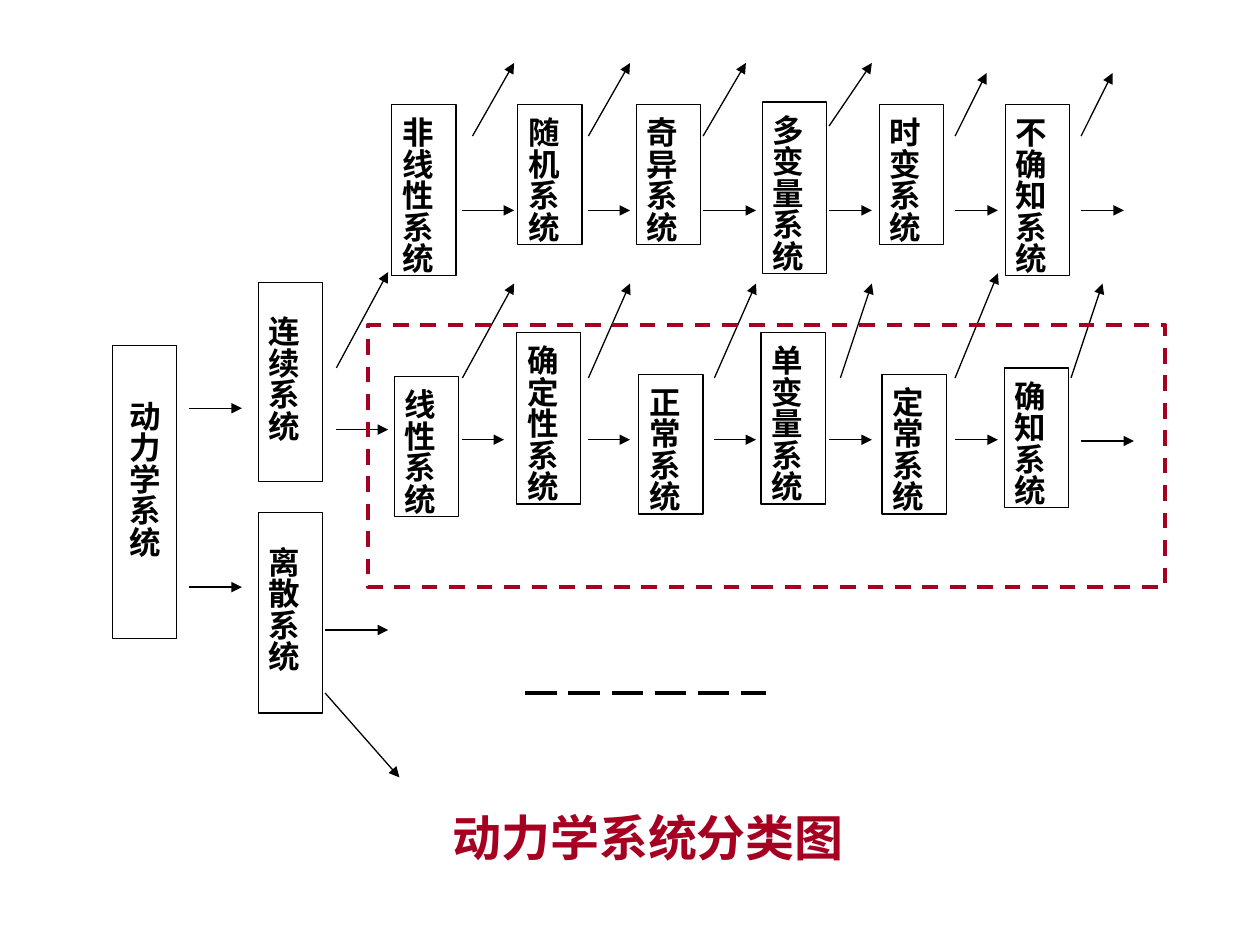
from dataclasses import dataclass

from lxml import etree
from pptx import Presentation
from pptx import util as u
from pptx.dml import color
from pptx.enum import dml, shapes, text
from pptx.oxml import ns


@dataclass(frozen=True)
class Theme:
    font: str = "Noto Sans CJK SC"
    ink: color.RGBColor = color.RGBColor(0, 0, 0)
    accent: color.RGBColor = color.RGBColor(0xA5, 0x00, 0x21)
    title_size: u.Pt = u.Pt(28)
    label_size: u.Pt = u.Pt(18)
    thin: u.Pt = u.Pt(0.75)
    thick: u.Pt = u.Pt(2.25)


@dataclass(frozen=True)
class SystemBox:
    label: str
    left: float
    top: float
    height: float
    indent: float = 0
    anchor: text.MSO_ANCHOR = text.MSO_ANCHOR.BOTTOM


@dataclass(frozen=True)
class Segment:
    start: tuple[float, float]
    end: tuple[float, float]


THEME = Theme()
BOX_WIDTH = 0.51
CHARACTER = 0.25
ROW_PADDING = 0.11


def row_box(label: str, left: float, top: float) -> SystemBox:
    return SystemBox(label, left, top, len(label) * CHARACTER + ROW_PADDING)


def level(y: float, *spans: tuple[float, float]) -> list[Segment]:
    return [Segment((start, y), (end, y)) for start, end in spans]


ROOT_BOXES = [
    SystemBox("动力学系统", 0.89, 2.74, 2.33, 0.34, text.MSO_ANCHOR.MIDDLE),
    SystemBox("连续系统", 2.05, 2.24, 1.58, 0.17),
    SystemBox("离散系统", 2.05, 4.07, 1.59, 0.17),
]
ROW_BOXES = [
    row_box("线性系统", 3.13, 2.99),
    row_box("非线性系统", 3.11, 0.83),
    row_box("确定性系统", 4.1, 2.64),
    row_box("随机系统", 4.11, 0.83),
    row_box("正常系统", 5.07, 2.97),
    row_box("奇异系统", 5.05, 0.83),
    row_box("单变量系统", 6.04, 2.64),
    row_box("多变量系统", 6.05, 0.81),
    row_box("定常系统", 7, 2.97),
    row_box("时变系统", 6.98, 0.83),
    row_box("确知系统", 7.97, 2.92),
    row_box("不确知系统", 7.98, 0.83),
]
ARROWS = [
    *level(3.24, (1.5, 1.92)),
    *level(4.66, (1.5, 1.92)),
    Segment((2.67, 2.92), (3.08, 2.16)),
    *level(3.41, (2.67, 3.08)),
    *level(3.49, (3.67, 4), (4.67, 5), (5.67, 6), (6.58, 6.92), (7.58, 7.92)),
    *level(3.5, (8.58, 9)),
    *level(1.67, (3.67, 4.08), (4.67, 5), (5.58, 6), (6.58, 6.92),
           (7.58, 7.92), (8.58, 8.92)),
    Segment((3.67, 3), (4.08, 2.25)),
    Segment((4.67, 3), (5, 2.25)),
    Segment((5.67, 3), (6, 2.25)),
    Segment((6.67, 3), (6.92, 2.25)),
    Segment((7.58, 3), (7.92, 2.17)),
    Segment((8.5, 3), (8.75, 2.25)),
    Segment((3.75, 1.08), (4.08, 0.5)),
    Segment((4.67, 1.08), (5, 0.5)),
    Segment((5.58, 1.08), (5.92, 0.5)),
    Segment((6.58, 1), (6.92, 0.5)),
    Segment((7.58, 1.08), (7.83, 0.58)),
    Segment((8.58, 1.08), (8.83, 0.58)),
    *level(5, (2.58, 3.08)),
    Segment((2.58, 5.5), (3.17, 6.17)),
]


def apply(target, **values) -> None:
    for name, value in values.items():
        setattr(target, name, value)


def write(frame, wording: str, size: u.Pt, ink: color.RGBColor):
    para = frame.paragraphs[0]
    para.alignment = text.PP_ALIGN.LEFT
    span = para.add_run()
    span.text = wording
    apply(span.font, name=THEME.font, size=size, bold=True)
    span.font.color.rgb = ink
    east_asian = etree.SubElement(span.font._element, ns.qn("a:ea"))
    east_asian.set("typeface", THEME.font)
    return para


def add_rectangle(slide, left: float, top: float, width: float, height: float,
                  ink: color.RGBColor, weight: u.Pt):
    box = slide.shapes.add_shape(
        shapes.MSO_SHAPE.RECTANGLE,
        *(u.Inches(value) for value in (left, top, width, height)))
    box.shadow.inherit = False
    box.fill.background()
    box.line.color.rgb = ink
    box.line.width = weight
    return box


def add_system(slide, system: SystemBox) -> None:
    box = add_rectangle(slide, system.left, system.top, BOX_WIDTH,
                        system.height, THEME.ink, THEME.thin)
    frame = box.text_frame
    apply(frame, word_wrap=system.indent > 0, vertical_anchor=system.anchor,
          auto_size=text.MSO_AUTO_SIZE.SHAPE_TO_FIT_TEXT)
    frame._txBody.bodyPr.set("vert", "eaVert")
    para = write(frame, system.label, THEME.label_size, THEME.ink)
    if system.indent:
        properties = para._p.get_or_add_pPr()
        properties.set("marL", str(u.Inches(system.indent)))
        properties.set("indent", "0")


def add_line(slide, segment: Segment, weight: u.Pt):
    line = slide.shapes.add_connector(
        shapes.MSO_CONNECTOR.STRAIGHT,
        *(u.Inches(value) for value in segment.start + segment.end))
    line.line.color.rgb = THEME.ink
    line.line.width = weight
    etree.SubElement(line._element.spPr, ns.qn("a:effectLst"))
    return line


def add_arrow(slide, segment: Segment) -> None:
    arrow = add_line(slide, segment, THEME.thin)
    tip = etree.SubElement(arrow.line._get_or_add_ln(), ns.qn("a:tailEnd"))
    tip.set("type", "triangle")


def add_title(slide) -> None:
    title = slide.shapes.title
    apply(title, left=u.Inches(3.49), top=u.Inches(6.36),
          width=u.Inches(3.31), height=u.Inches(0.57))
    apply(title.text_frame, word_wrap=False,
          auto_size=text.MSO_AUTO_SIZE.NONE,
          vertical_anchor=text.MSO_ANCHOR.MIDDLE)
    write(title.text_frame, "动力学系统分类图", THEME.title_size, THEME.accent)


def main() -> None:
    deck = Presentation()
    apply(deck, slide_width=u.Inches(10), slide_height=u.Inches(7.5))
    slide = deck.slides.add_slide(deck.slide_layouts[5])
    add_title(slide)
    for system in ROOT_BOXES + ROW_BOXES:
        add_system(slide, system)
    for segment in ARROWS:
        add_arrow(slide, segment)
    omitted = add_line(slide, Segment((4.17, 5.5), (6.08, 5.5)), THEME.thick)
    omitted.line.dash_style = dml.MSO_LINE.LONG_DASH
    focus = add_rectangle(slide, 2.92, 2.58, 6.33, 2.08,
                          THEME.accent, THEME.thick)
    focus.line.dash_style = dml.MSO_LINE.DASH
    deck.save("out.pptx")


main()
